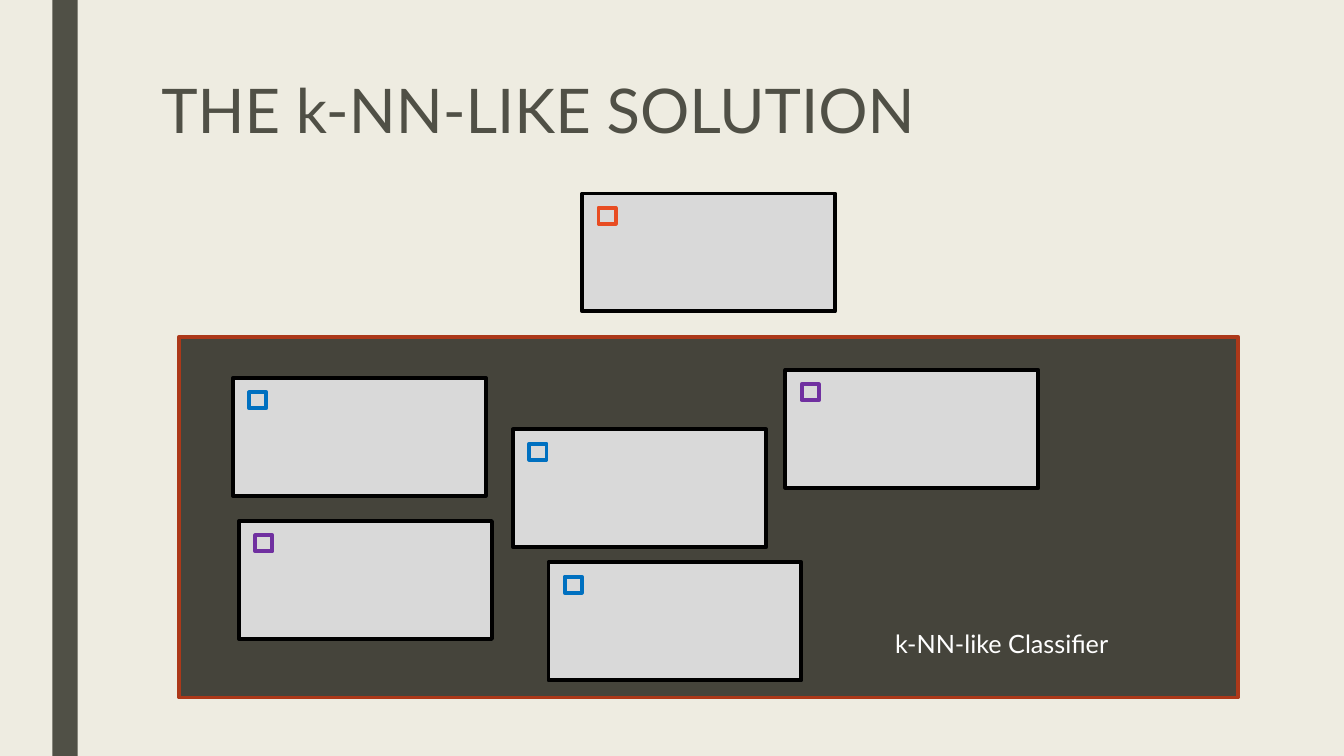
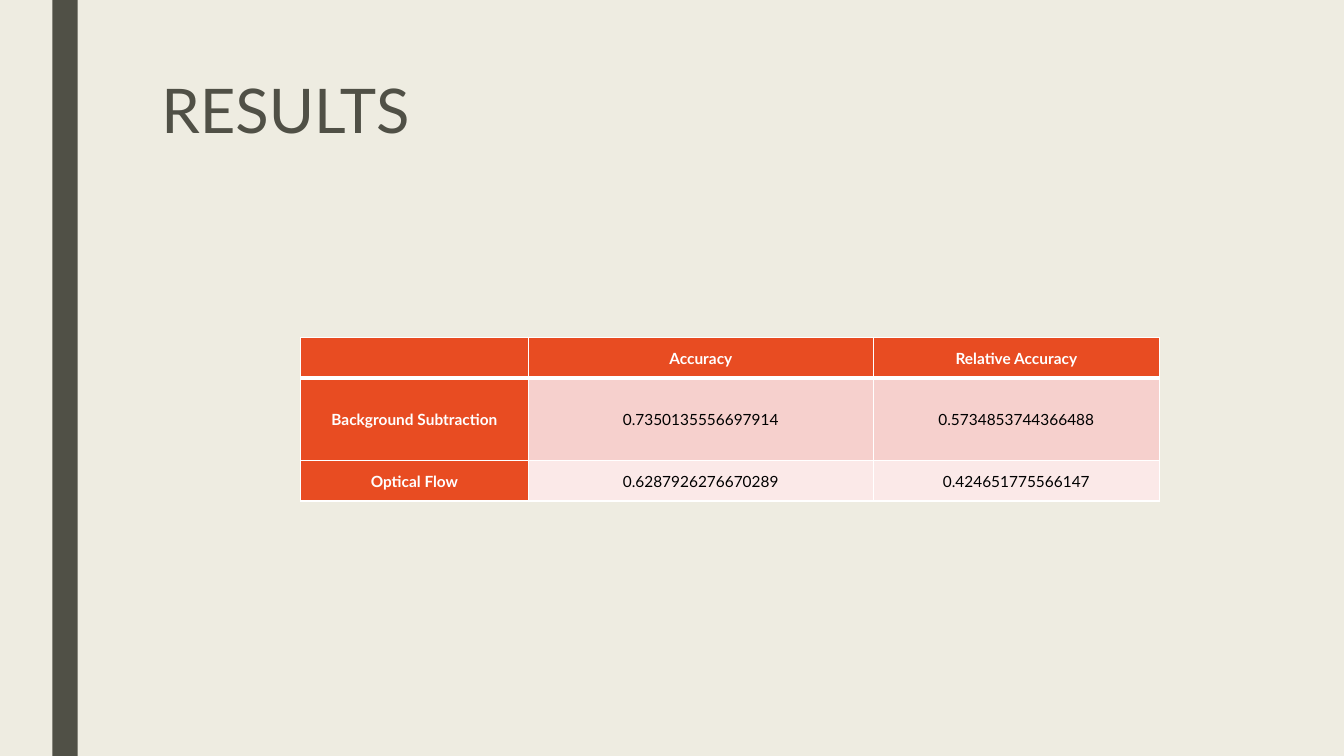
from dataclasses import dataclass

from lxml.etree import SubElement
from pptx import Presentation
from pptx.dml.color import RGBColor
from pptx.enum.shapes import MSO_SHAPE as Preset
from pptx.enum.text import MSO_ANCHOR as Anchor, MSO_AUTO_SIZE as AutoSize, PP_ALIGN as Align
from pptx.oxml.ns import qn
from pptx.util import Inches, Pt


@dataclass(frozen=True)
class Theme:
    font: str = "Lato"
    paper: str = "EEECE1"
    olive: str = "505046"
    panel: str = "45443B"
    rust: str = "AC3819"
    orange: str = "E84C22"
    blue: str = "0070C0"
    purple: str = "7030A0"
    grey: str = "D9D9D9"
    black: str = "000000"
    white: str = "FFFFFF"
    row_tints: tuple = ("F6D0CD", "FBE9E8")
    title_size: float = 44
    label_size: float = 18
    table_size: float = 11
    outline: float = 2.75
    rule: float = 1
    header_rule: float = 3


@dataclass(frozen=True)
class Box:
    left: int
    top: int
    width: int
    height: int

    def share(self, left, top, width, height):
        return Box(
            self.left + round(self.width * left / 100),
            self.top + round(self.height * top / 100),
            round(self.width * width / 100),
            round(self.height * height / 100),
        )

    def place(self):
        return self.left, self.top, self.width, self.height


THEME = Theme()
SLIDE = Box(0, 0, Inches(13.33), Inches(7.5))
BAND = SLIDE.share(3.9, 0, 1.88, 100)
TITLE = SLIDE.share(11.25, 10, 78.77, 21.6)
CLASSIFIER = SLIDE.share(13.35, 44.53, 78.77, 47.73)
RESULTS = SLIDE.share(22.36, 44.67, 63.92, 21.6)

CARD_SIZE = (23.9, 32.68)
QUERY_CARD = (38.05, -39.66, THEME.orange)
NEIGHBOUR_CARDS = [
    (5.05, 11.45, THEME.blue),
    (31.52, 25.7, THEME.blue),
    (57.24, 9.22, THEME.purple),
    (5.62, 51.12, THEME.purple),
    (34.86, 62.57, THEME.blue),
]

COLUMN_SHARES = (26.53, 40.14, 33.33)
ROW_SHARES = (24.7, 50.6, 24.7)
RESULT_ROWS = [
    ("", "Accuracy", "Relative Accuracy"),
    ("Background Subtraction", "0.7350135556697914", "0.5734853744366488"),
    ("Optical Flow", "0.6287926276670289", "0.424651775566147"),
]


def colour(code):
    return RGBColor.from_string(code)


def write(frame, text, size, ink, align, bold=False, spacing=None):
    para = frame.paragraphs[0]
    para.alignment = align
    if spacing:
        para.line_spacing = spacing
    if text:
        span = para.add_run()
        span.text = text
        span.font.name = THEME.font
        span.font.size = Pt(size)
        span.font.bold = bold
        span.font.color.rgb = colour(ink)


def add_rectangle(page, box, fill=None, line=None):
    shape = page.shapes.add_shape(Preset.RECTANGLE, *box.place())
    shape.shadow.inherit = False
    if fill:
        shape.fill.solid()
        shape.fill.fore_color.rgb = colour(fill)
    else:
        shape.fill.background()
    if line:
        shape.line.color.rgb = colour(line)
        shape.line.width = Pt(THEME.outline)
    else:
        shape.line.fill.background()
    return shape


def add_page(deck, layout, title):
    page = deck.slides.add_slide(layout)
    holder = page.shapes.title
    holder.left, holder.top, holder.width, holder.height = TITLE.place()
    frame = holder.text_frame
    frame.auto_size = AutoSize.NONE
    frame.vertical_anchor = Anchor.TOP
    write(frame, title, THEME.title_size, THEME.olive, Align.LEFT, spacing=0.89)
    return page


def dress_layout(layout, page):
    fill = layout.background.fill
    fill.solid()
    fill.fore_color.rgb = colour(THEME.paper)
    band = add_rectangle(page, BAND, THEME.olive)
    layout.shapes.element.insert(2, band.element)


def add_card(page, panel, left, top, mark):
    card = panel.share(left, top, *CARD_SIZE)
    add_rectangle(page, card, THEME.grey, THEME.black)
    add_rectangle(page, card.share(6.45, 12.1, 6.77, 13.68), line=mark)


def add_classifier(page, panel):
    add_rectangle(page, panel, THEME.panel, THEME.rust)
    label = page.shapes.add_textbox(*panel.share(57.24, 79.33, 40.86, 11.17).place())
    label.text_frame.word_wrap = True
    write(label.text_frame, "k-NN-like Classifier", THEME.label_size, THEME.white, Align.CENTER)
    for card in [QUERY_CARD, *NEIGHBOUR_CARDS]:
        add_card(page, panel, *card)


def add_borders(cell, widths):
    properties = cell._tc.get_or_add_tcPr()
    for side, width in zip("LRTB", widths):
        edge = SubElement(properties, qn(f"a:ln{side}"), w=str(Pt(width)))
        fill = SubElement(edge, qn("a:solidFill"))
        SubElement(fill, qn("a:srgbClr"), val=THEME.white)


def format_cell(cell, text, row, column):
    heading = row == 0 or column == 0
    thin, thick = THEME.rule, THEME.header_rule
    add_borders(cell, (thin, thin, thick if row == 1 else thin, thick if row == 0 else thin))
    cell.fill.solid()
    cell.fill.fore_color.rgb = colour(THEME.orange if heading else THEME.row_tints[row - 1])
    cell.margin_left = cell.margin_right = Inches(0.07)
    cell.margin_top = cell.margin_bottom = 0
    cell.vertical_anchor = Anchor.MIDDLE
    ink = THEME.white if heading else THEME.black
    write(cell.text_frame, text, THEME.table_size, ink, Align.CENTER, heading, 1.07)


def add_results(page, box):
    table = page.shapes.add_table(len(ROW_SHARES), len(COLUMN_SHARES), *box.place()).table
    for column, share in zip(table.columns, COLUMN_SHARES):
        column.width = round(box.width * share / 100)
    for row, share in zip(table.rows, ROW_SHARES):
        row.height = round(box.height * share / 100)
    for row, texts in enumerate(RESULT_ROWS):
        for column, text in enumerate(texts):
            format_cell(table.cell(row, column), text, row, column)


def main():
    deck = Presentation()
    deck.slide_width, deck.slide_height = SLIDE.width, SLIDE.height
    layout = deck.slide_layouts.get_by_name("Title Only")
    solution = add_page(deck, layout, "THE k-NN-LIKE SOLUTION")
    dress_layout(layout, solution)
    add_classifier(solution, CLASSIFIER)
    results = add_page(deck, layout, "RESULTS")
    add_results(results, RESULTS)
    deck.save("out.pptx")


if __name__ == "__main__":
    main()
